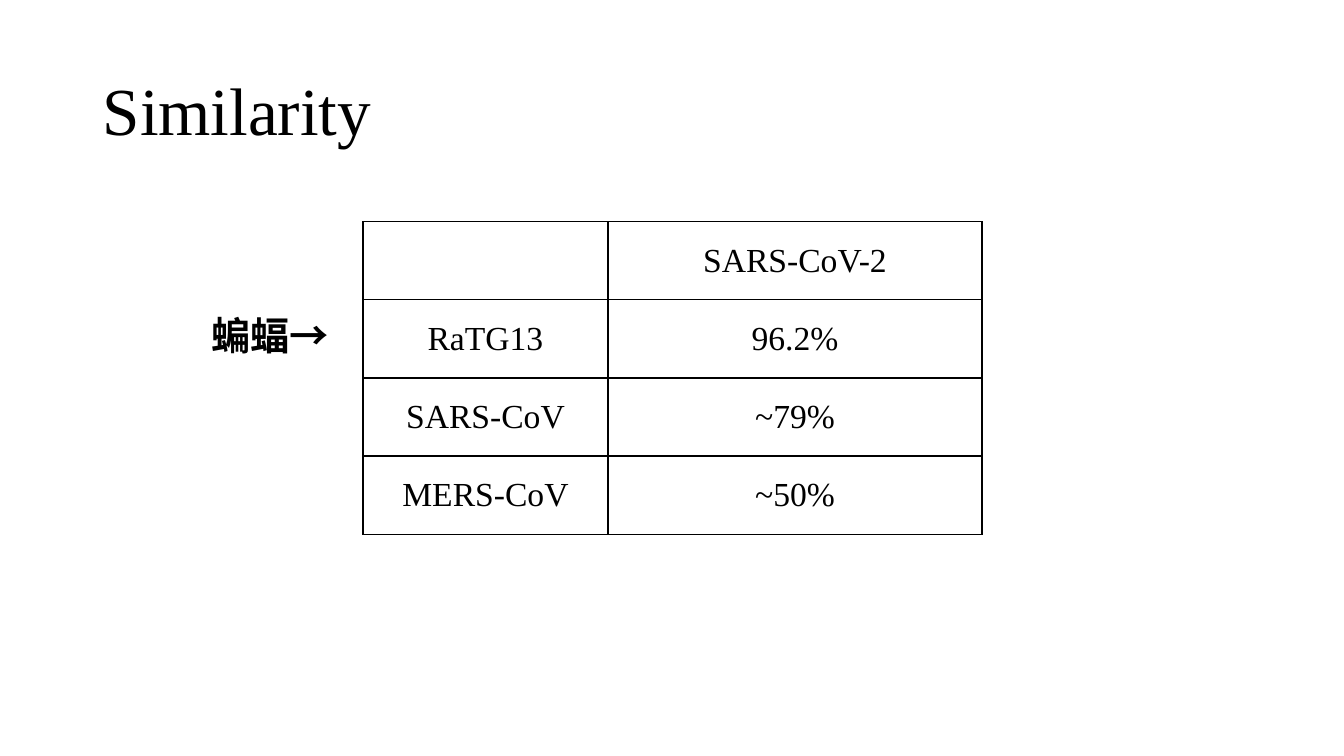
from dataclasses import dataclass

from lxml import etree
from pptx import Presentation
from pptx.dml.color import RGBColor
from pptx.enum.text import MSO_ANCHOR, PP_ALIGN
from pptx.oxml.ns import qn
from pptx.util import Inches, Pt

MIDDLE = MSO_ANCHOR.MIDDLE
TOP = MSO_ANCHOR.TOP
CENTER = PP_ALIGN.CENTER
BLANK_LAYOUT = 6
COLORS = {"ink": "000000"}
LATIN_FONT = "Times New Roman"
CJK_FONT = "Noto Sans CJK SC"
BORDER_POINTS = 1
COLUMN_WIDTHS = (2.43, 3.71)
ROWS = (
    ("", "SARS-CoV-2"),
    ("RaTG13", "96.2%"),
    ("SARS-CoV", "~79%"),
    ("MERS-CoV", "~50%"),
)


@dataclass(frozen=True)
class Label:
    text: str
    left: float
    top: float
    width: float
    height: float
    size: int
    font: str
    bold: bool = False
    anchor: MSO_ANCHOR = TOP
    line_spacing: float = 1.0


LABELS = (
    Label("Similarity", 0.92, 0.4, 11.5, 1.45, 48, LATIN_FONT,
          anchor=MIDDLE, line_spacing=0.9),
    Label("蝙蝠→", 2, 3.04, 1.38, 0.57, 28, CJK_FONT, bold=True),
)


def style_paragraph(para, size: int, name: str, bold: bool = False) -> None:
    """Set the font for Latin and East Asian text alike."""
    font = para.font
    font.size = Pt(size)
    font.bold = bold
    font.color.rgb = RGBColor.from_string(COLORS["ink"])
    font.name = name
    properties = para._p.pPr.find(qn("a:defRPr"))
    etree.SubElement(properties, qn("a:ea"), typeface=name)


def add_label(slide, label: Label) -> None:
    box = slide.shapes.add_textbox(
        Inches(label.left), Inches(label.top),
        Inches(label.width), Inches(label.height))
    frame = box.text_frame
    frame.word_wrap = True
    frame.vertical_anchor = label.anchor
    para = frame.paragraphs[0]
    para.text = label.text
    para.line_spacing = label.line_spacing
    style_paragraph(para, label.size, label.font, label.bold)


def add_borders(cell) -> None:
    properties = cell._tc.get_or_add_tcPr()
    for side in ("L", "R", "T", "B"):
        line = etree.SubElement(
            properties, qn(f"a:ln{side}"), w=str(Pt(BORDER_POINTS)))
        fill = etree.SubElement(line, qn("a:solidFill"))
        etree.SubElement(fill, qn("a:srgbClr"), val=COLORS["ink"])


def add_similarity_table(slide) -> None:
    table = slide.shapes.add_table(
        len(ROWS), len(COLUMN_WIDTHS), Inches(3.6), Inches(2.2),
        Inches(sum(COLUMN_WIDTHS)), Inches(3.1)).table
    table.first_row = False
    table.horz_banding = False
    for column, width in zip(table.columns, COLUMN_WIDTHS):
        column.width = Inches(width)
    for row, texts in zip(table.rows, ROWS):
        for cell, text in zip(row.cells, texts):
            add_borders(cell)
            cell.fill.background()
            cell.vertical_anchor = MIDDLE
            para = cell.text_frame.paragraphs[0]
            para.text = text
            para.alignment = CENTER
            style_paragraph(para, 24, LATIN_FONT)


def main() -> None:
    deck = Presentation()
    deck.slide_width = Inches(13.33)
    deck.slide_height = Inches(7.5)
    page = deck.slides.add_slide(deck.slide_layouts[BLANK_LAYOUT])
    add_similarity_table(page)
    for label in LABELS:
        add_label(page, label)
    deck.save("out.pptx")


if __name__ == "__main__":
    main()
